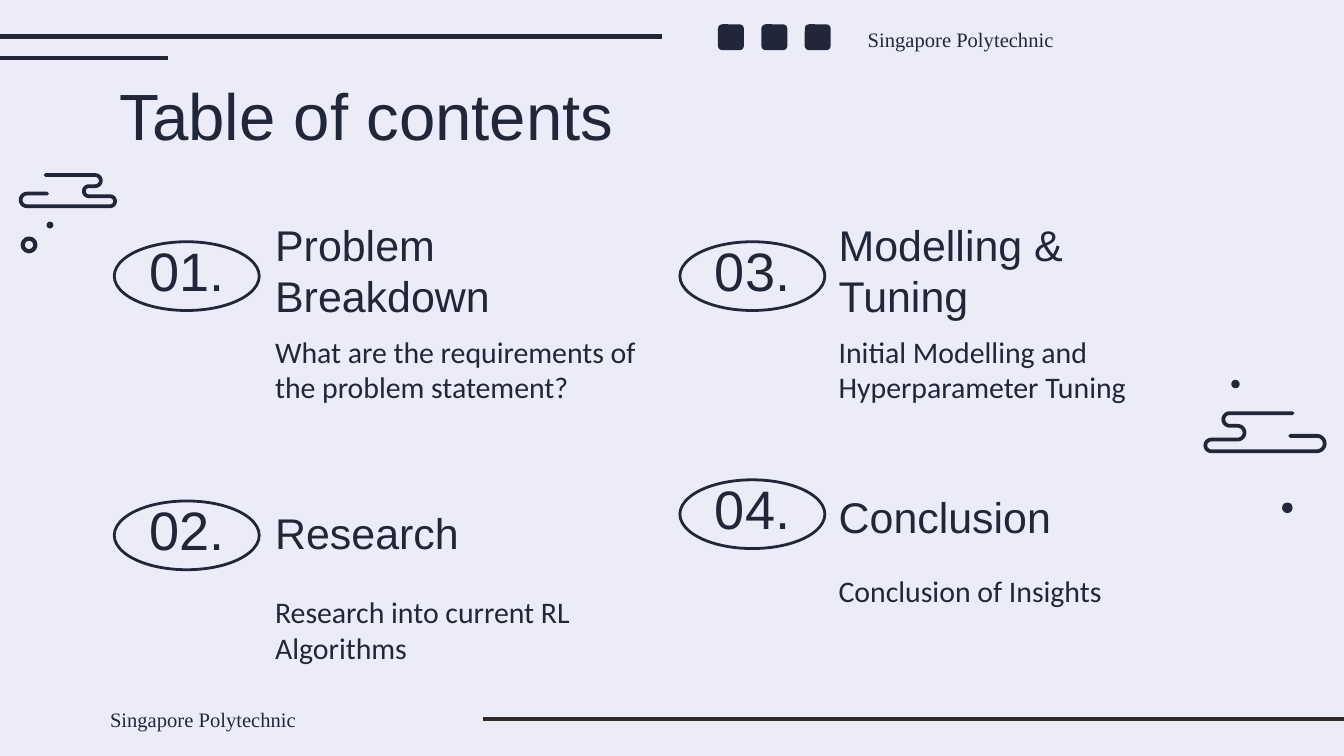
from math import cos, pi, sin

from pptx import Presentation
from pptx.dml.color import RGBColor
from pptx.enum.shapes import MSO_CONNECTOR, MSO_SHAPE
from pptx.enum.text import MSO_ANCHOR, MSO_AUTO_SIZE, PP_ALIGN
from pptx.oxml.ns import qn
from pptx.oxml.xmlchemy import OxmlElement
from pptx.util import Cm, Pt

NAVY = RGBColor(0x21, 0x27, 0x39)
BROWN = RGBColor(0x30, 0x29, 0x26)
LAVENDER = RGBColor(0xEC, 0xEB, 0xF8)

INSET = 0.25
ARC_STEPS = 12

prs = Presentation()
prs.slide_width, prs.slide_height = Cm(25.4), Cm(14.29)
slide = prs.slides.add_slide(prs.slide_layouts[5])
slide.background.fill.solid()
slide.background.fill.fore_color.rgb = LAVENDER
shapes = slide.shapes


def write(holder, text, font, size, anchor, align=PP_ALIGN.LEFT, inset_top=INSET):
    frame = holder.text_frame
    frame.text = text
    frame.word_wrap = True
    frame.auto_size = MSO_AUTO_SIZE.NONE
    frame.vertical_anchor = anchor
    frame.margin_left = frame.margin_right = frame.margin_bottom = Cm(INSET)
    frame.margin_top = Cm(inset_top)
    for paragraph in frame.paragraphs:
        paragraph.alignment = align
        for run in paragraph.runs:
            run.font.name, run.font.size = font, Pt(size)
            run.font.color.rgb = NAVY


def add_mark(kind, left, top, width, height, outline=None):
    """Add a navy preset shape: filled, or hollow when an outline width is given."""
    mark = shapes.add_shape(kind, Cm(left), Cm(top), Cm(width), Cm(height))
    mark.shadow.inherit = False
    if outline:
        mark.fill.background()
        mark.line.color.rgb = NAVY
        mark.line.width = Pt(outline)
    else:
        mark.fill.solid()
        mark.fill.fore_color.rgb = NAVY
        mark.line.fill.background()


# Title
title = shapes.title
title.left, title.top, title.width, title.height = Cm(2.01), Cm(1.5), Cm(21.41), Cm(1.32)
write(title, "Table of contents", "Arial", 35, MSO_ANCHOR.MIDDLE)

# Horizontal rules at the slide edges
for start, end, y, color in [
    (0, 12.52, 0.69, NAVY),
    (0, 3.18, 1.09, NAVY),
    (9.12, 25.4, 13.59, BROWN),
]:
    rule = shapes.add_connector(MSO_CONNECTOR.STRAIGHT, Cm(start), Cm(y), Cm(end), Cm(y))
    rule.line.color.rgb = color
    rule.line.width = Pt(2.25)
    rule._element.spPr.append(OxmlElement("a:effectLst"))

# Contents: number, badge left and top, heading left, top and height, detail top, texts
sections = [
    ("01.", 2.16, 4.57, 4.95, 4.39, 1.93, 6.05, "Problem Breakdown",
     "What are the requirements of the problem statement?"),
    ("02.", 2.16, 9.47, 4.95, 9.35, 1.45, 10.97, "Research",
     "Research into current RL\nAlgorithms"),
    ("03.", 12.85, 4.57, 15.6, 4.39, 1.93, 6.05, "Modelling & Tuning",
     "Initial Modelling and Hyperparameter Tuning"),
    ("04.", 12.85, 9.07, 15.6, 8.56, 1.93, 10.57, "Conclusion",
     "Conclusion of Insights"),
]
for (number, badge_left, badge_top, text_left, heading_top, heading_height,
     detail_top, heading, detail) in sections:
    add_mark(MSO_SHAPE.OVAL, badge_left, badge_top, 2.74, 1.3, outline=1.5)
    number_box = shapes.add_textbox(Cm(badge_left + 0.32), Cm(badge_top), Cm(2.11), Cm(1.3))
    write(number_box, number, "Arial", 29, MSO_ANCHOR.MIDDLE, PP_ALIGN.CENTER, inset_top=0)
    heading_box = shapes.add_textbox(
        Cm(text_left), Cm(heading_top), Cm(5.74), Cm(heading_height))
    write(heading_box, heading, "Arial", 23, MSO_ANCHOR.BOTTOM)
    detail_box = shapes.add_textbox(Cm(text_left), Cm(detail_top), Cm(7.5), Cm(2.15))
    write(detail_box, detail, "Calibri", 16, MSO_ANCHOR.TOP)

# Clouds: start point, half-circle turns (x, next y, 1 right or -1 left), final x
clouds = [
    (0.86, 3.31, [(1.8, 3.52, 1), (1.68, 3.71, -1), (2.08, 3.9, 1), (0.51, 3.66, -1)], 0.89),
    (24.43, 7.81, [(23.24, 8.05, -1), (23.39, 8.31, 1), (22.89, 8.53, -1), (24.89, 8.24, 1)],
     24.38),
]
for start_x, y, turns, end_x in clouds:
    builder = shapes.build_freeform(Cm(start_x), Cm(y))
    points = []
    for x, next_y, side in turns:
        middle, half = (y + next_y) / 2, (next_y - y) / 2
        for step in range(ARC_STEPS + 1):
            angle = pi * step / ARC_STEPS
            points.append((Cm(x + side * abs(half) * sin(angle)),
                           Cm(middle - half * cos(angle))))
        y = next_y
    points.append((Cm(end_x), Cm(y)))
    builder.add_line_segments(points, close=False)
    cloud = builder.convert_to_shape()
    cloud.shadow.inherit = False
    cloud.fill.background()
    cloud.line.color.rgb = NAVY
    cloud.line.width = Pt(2)
    cloud._element.spPr.find(qn("a:ln")).set("cap", "rnd")

# Dots and ring around the clouds
for left, top, diameter, outline in [
    (24.23, 9.5, 0.2, None),
    (0.88, 4.19, 0.13, None),
    (0.43, 4.51, 0.24, 2.25),
    (23.27, 7.18, 0.16, None),
]:
    add_mark(MSO_SHAPE.OVAL, left, top, diameter, diameter, outline)

# Social media markers
for index in range(3):
    add_mark(MSO_SHAPE.ROUNDED_RECTANGLE, 13.57 + 0.82 * index, 0.46, 0.49, 0.49)

# School name in footer and header
for left, top in [(1.83, 13.19), (16.15, 0.34)]:
    school = shapes.add_textbox(Cm(left), Cm(top), Cm(7.44), Cm(0.81))
    write(school, "Singapore Polytechnic", "Times New Roman", 11, MSO_ANCHOR.MIDDLE)

prs.save("out.pptx")
